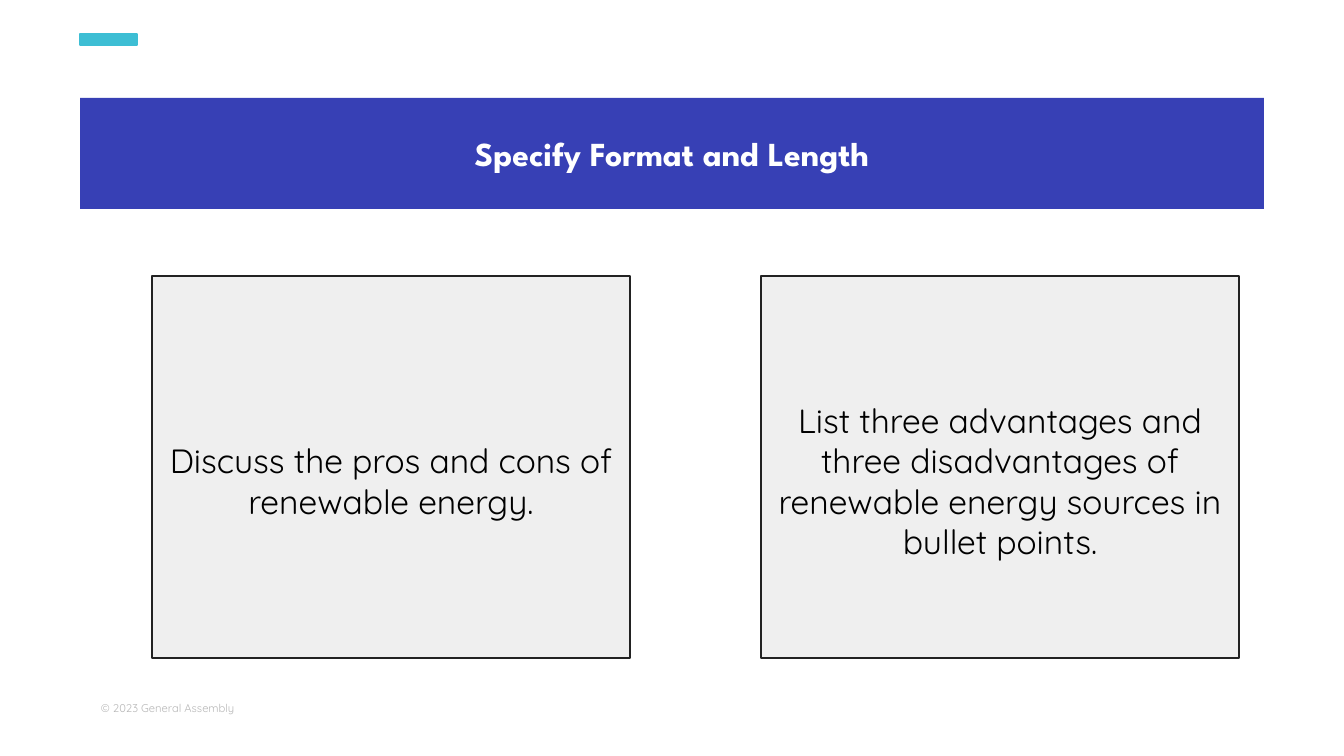
from pptx import Presentation
from pptx import util as u
from pptx.dml.color import RGBColor
from pptx.enum import shapes, text

TITLE = "Specify Format and Length"
PROMPTS = [
    "Discuss the pros and cons of renewable energy.",
    "List three advantages and three disadvantages of renewable energy sources in bullet points.",
]
COPYRIGHT = "© 2023 General Assembly"

BLUE = RGBColor(0x37, 0x40, 0xB5)
CYAN = RGBColor(0x3D, 0xBE, 0xD4)
PALE = RGBColor(0xEF, 0xEF, 0xEF)
INK = RGBColor(0x22, 0x22, 0x22)
BLACK = RGBColor(0, 0, 0)
WHITE = RGBColor(255, 255, 255)
GREY = RGBColor(0xB7, 0xB7, 0xB7)

SLIDE_W, SLIDE_H = 1344, 756
SCALE = u.Inches(10) / SLIDE_W

ACCENT = (80, 34, 57, 11)
BANNER = (80, 98, 1184, 111)
FOOTER = (101, 695, 134, 27)
CARD_LEFT, CARD_TOP, CARD_W, CARD_H = 152, 276, 478, 382
CARD_STEP = 609
INSET, CARD_INSET_TOP = 13, 40

TITLE_FONT = dict(name="League Spartan", size=u.Pt(18), bold=True)
CARD_FONT = dict(name="Quicksand", size=u.Pt(18))
FOOTER_FONT = dict(name="Quicksand", size=u.Pt(6))


def px(length):
    return u.Emu(round(length * SCALE))


def place(box, rect):
    for side, length in zip(("left", "top", "width", "height"), rect):
        setattr(box, side, px(length))


def paint(box, fill, line=None):
    box.fill.solid()
    box.fill.fore_color.rgb = fill
    if line is None:
        box.line.fill.background()
    else:
        box.line.color.rgb = line
        box.line.width = u.Pt(0.75)


def write(box, words, font, color, align, insets, after=0):
    """Fill a box with one paragraph; insets run left, top, right, bottom."""
    frame = box.text_frame
    frame.word_wrap = True
    frame.auto_size = text.MSO_AUTO_SIZE.NONE
    frame.vertical_anchor = text.MSO_ANCHOR.MIDDLE
    for side, inset in zip(("left", "top", "right", "bottom"), insets):
        setattr(frame, f"margin_{side}", px(inset))
    para = frame.paragraphs[0]
    para.alignment = align
    para.line_spacing = 1.0
    para.space_before = u.Pt(0)
    para.space_after = u.Pt(after)
    span = para.add_run()
    span.text = words
    for key, value in font.items():
        setattr(span.font, key, value)
    span.font.color.rgb = color


def add_rectangle(page, rect, fill, line):
    box = page.shapes.add_shape(shapes.MSO_SHAPE.RECTANGLE, *map(px, rect))
    box.shadow.inherit = False
    paint(box, fill, line)
    return box


def main():
    deck = Presentation()
    deck.slide_width, deck.slide_height = px(SLIDE_W), px(SLIDE_H)
    title_only = deck.slide_layouts[5]
    page = deck.slides.add_slide(title_only)

    footer = page.shapes.add_textbox(*map(px, FOOTER))
    write(footer, COPYRIGHT, FOOTER_FONT, GREY, text.PP_ALIGN.LEFT, [0] * 4)

    banner = page.shapes.title
    place(banner, BANNER)
    paint(banner, BLUE)
    write(banner, TITLE, TITLE_FONT, WHITE, text.PP_ALIGN.CENTER, [INSET] * 4, after=10)

    for column, prompt in enumerate(PROMPTS):
        left = CARD_LEFT + column * CARD_STEP
        card = add_rectangle(page, (left, CARD_TOP, CARD_W, CARD_H), PALE, INK)
        write(card, prompt, CARD_FONT, BLACK, text.PP_ALIGN.CENTER,
              (INSET, CARD_INSET_TOP, INSET, INSET), after=10)

    add_rectangle(page, ACCENT, CYAN, CYAN)
    deck.save("out.pptx")


if __name__ == "__main__":
    main()
